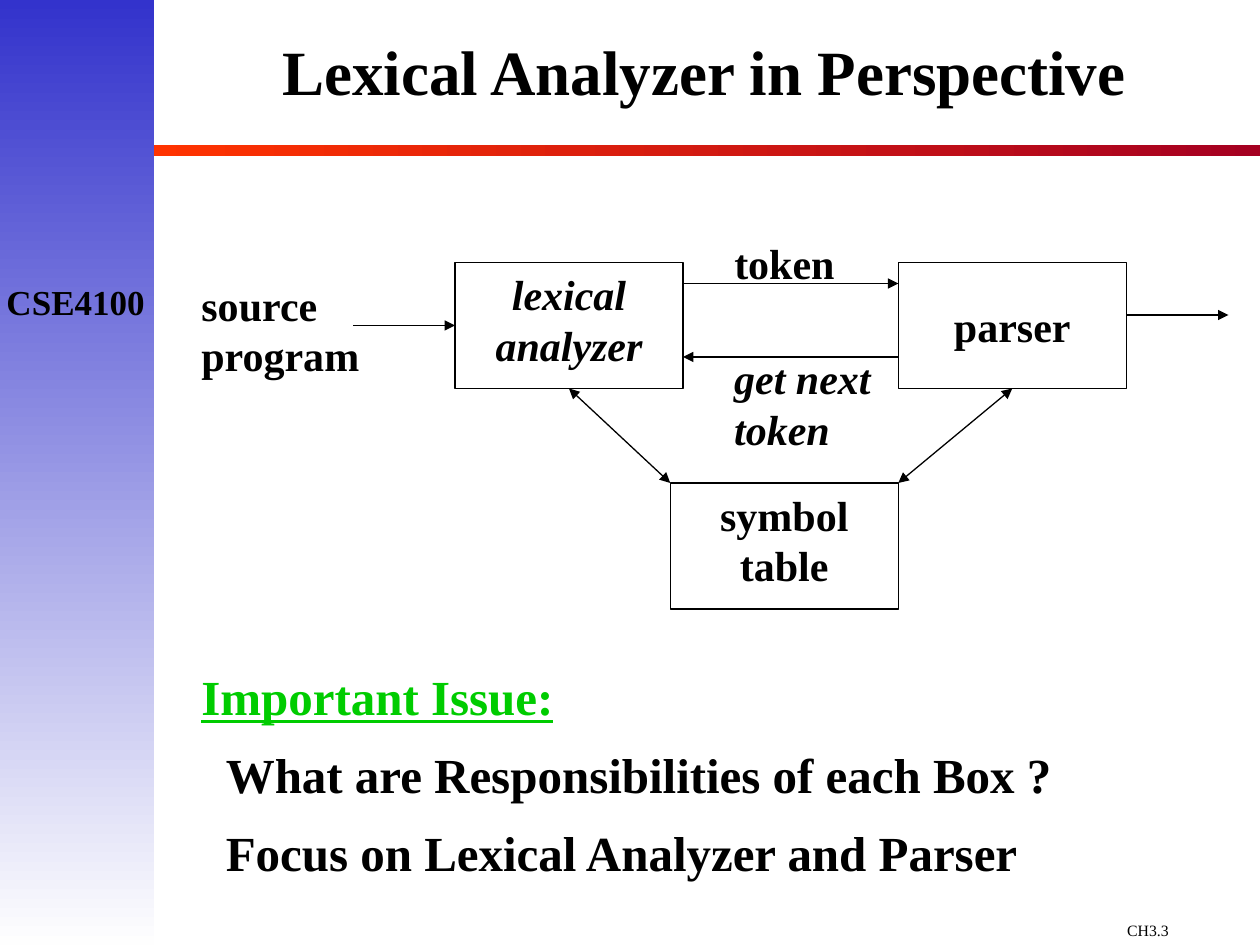
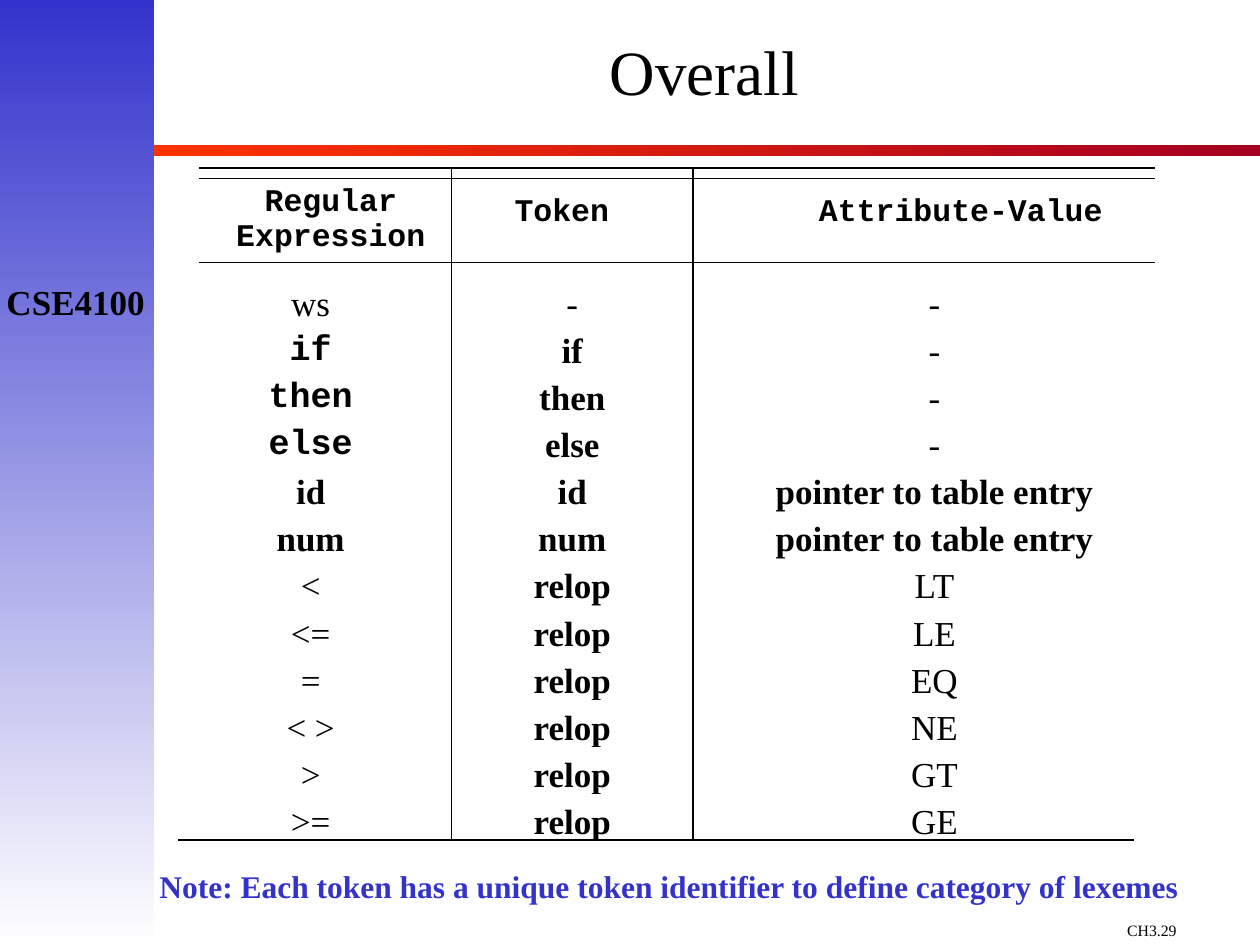
"""Build two compiler-course slides: the lexical analyzer diagram and the token table."""
from lxml.etree import SubElement
from pptx import Presentation
from pptx.dml.color import RGBColor
from pptx.enum.shapes import MSO_CONNECTOR as Connector, MSO_SHAPE as Shape
from pptx.enum.text import MSO_ANCHOR as Anchor, PP_ALIGN as Align
from pptx.oxml.ns import qn
from pptx.util import Pt

BLACK = RGBColor(0x00, 0x00, 0x00)
BLUE = RGBColor(0x33, 0x33, 0xCC)
PALE = RGBColor(0xFE, 0xFE, 0xFE)
ORANGE = RGBColor(0xFF, 0x33, 0x00)
CRIMSON = RGBColor(0xA5, 0x00, 0x21)
GREEN = RGBColor(0x00, 0xCC, 0x00)
SERIF, MONO = "Times New Roman", "Courier New"

COURSE = "CSE4100"
BANDS = [
    ((86.4, 82.8, 633.6, 6.3), (ORANGE, CRIMSON), 0),
    ((0, 0, 88, 540), (BLUE, PALE), 270),
]

BOX_WIDTH, BOX_HEIGHT = 130.3, 72
BOXES = {
    "lexical": ("lexical analyzer", 260, 150, Anchor.TOP, True),
    "parser": ("parser", 513.3, 150, Anchor.MIDDLE, False),
    "symbols": ("symbol table", 383, 276, Anchor.TOP, False),
}
LABELS = [
    ("source program", (108, 156, 123, 65), False),
    ("token", (412.5, 132, 73, 36), False),
    ("get next token", (412.5, 198, 94.5, 65), True),
]
ARROWS = [
    ((390.3, 162), (513.3, 162), "end", None),
    ((513.3, 204), (390.3, 204), "end", None),
    ((643.6, 180), (702, 180), "end", None),
    ((202, 186), (260, 186), "end", ("lexical", 1)),
    ((513.3, 276), (578.5, 222), "both", ("parser", 2)),
    ((383, 276), (325.2, 222), "both", ("lexical", 2)),
]
ISSUE = [
    ("Important Issue:", GREEN, True, 0),
    ("What are Responsibilities of each Box ?", BLACK, False, 14),
    ("Focus on Lexical Analyzer and Parser", BLACK, False, 14),
]

COLUMN_WIDTHS = [144, 138, 264]
HEADER_HEIGHT, FIRST_HEIGHT, ROW_HEIGHT = 48, 35.4, 26.9
TABLE_LEFT, TABLE_TOP = 114, 102
HEADERS = [
    ("Regular Expression", dict(left=6, right=0, top=3.6)),
    ("Token", dict(left=0, right=12, top=9.6)),
    ("Attribute-Value", dict(left=42, right=0, top=9.6)),
]
BODY_MARGINS = [dict(left=0, right=17), dict(left=0, right=0), dict(left=12, right=0)]
TOKENS = [
    ("ws", "-", "-"),
    ("if", "if", "-"),
    ("then", "then", "-"),
    ("else", "else", "-"),
    ("id", "id", "pointer to table entry"),
    ("num", "num", "pointer to table entry"),
    ("<", "relop", "LT"),
    ("<=", "relop", "LE"),
    ("=", "relop", "EQ"),
    ("< >", "relop", "NE"),
    (">", "relop", "GT"),
    (">=", "relop", "GE"),
]
KEYWORDS = {"if", "then", "else"}
BOLD_WORDS = KEYWORDS | {"id", "num", "relop", "pointer to table entry"}
RULES = [((114, y), (660, y)) for y in (96, 102, 150)]
RULES += [((102, 480), (648, 480))]
RULES += [((x, 96), (x, 480)) for x in (258, 396)]
NOTE = "Note: Each token has a unique token identifier to define category of lexemes"


def write(para, text, size, color=BLACK, name=SERIF, align=Align.LEFT, **styles):
    para.alignment = align
    span = para.add_run()
    span.text = text
    span.font.color.rgb = color
    for key, value in dict(name=name, size=Pt(size), **styles).items():
        setattr(span.font, key, value)


def add_text(page, place, text, size, anchor=Anchor.TOP, wrap=True, spacing=None, **styles):
    frame = page.shapes.add_textbox(*map(Pt, place)).text_frame
    frame.word_wrap = wrap
    frame.vertical_anchor = anchor
    para = frame.paragraphs[0]
    para.line_spacing = spacing
    write(para, text, size, **styles)
    return frame


def add_line(page, start, end, width, heads=()):
    line = page.shapes.add_connector(Connector.STRAIGHT, *map(Pt, start + end))
    line.line.color.rgb = BLACK
    line.line.width = Pt(width)
    outline = line.line._get_or_add_ln()
    for head in heads:
        SubElement(outline, qn(f"a:{head}"), type="triangle")
    SubElement(line._element.spPr, qn("a:effectLst"))
    return line


def add_page(deck, title, number, bold):
    page = deck.slides.add_slide(deck.slide_layouts[6])
    for place, colors, angle in BANDS:
        band = page.shapes.add_shape(Shape.RECTANGLE, *map(Pt, place))
        band.shadow.inherit = False
        band.line.fill.background()
        band.fill.gradient()
        band.fill.gradient_angle = angle
        for stop, color in zip(band.fill.gradient_stops, colors):
            stop.color.rgb = color
    add_text(page, (637, 522.5, 83, 17), number, 9)
    add_text(page, (-3.5, 156.5, 93.5, 31.5), COURSE, 20, wrap=False,
             align=Align.CENTER, bold=True)
    add_text(page, (85, 0, 635, 88), title, 36, anchor=Anchor.MIDDLE, spacing=0.8,
             align=Align.CENTER, bold=bold)
    return page


def add_diagram(page):
    boxes = {}
    for key, (text, left, top, anchor, italic) in BOXES.items():
        box = page.shapes.add_shape(Shape.RECTANGLE, *map(Pt, (left, top, BOX_WIDTH, BOX_HEIGHT)))
        box.shadow.inherit = False
        box.fill.background()
        box.line.color.rgb = BLACK
        box.line.width = Pt(0.75)
        box.text_frame.word_wrap = True
        box.text_frame.vertical_anchor = anchor
        write(box.text_frame.paragraphs[0], text, 24, align=Align.CENTER, bold=True, italic=italic)
        boxes[key] = box
    for text, place, italic in LABELS:
        add_text(page, place, text, 24, bold=True, italic=italic)
    for start, end, kind, joint in ARROWS:
        heads = ("headEnd", "tailEnd") if kind == "both" else ("tailEnd",)
        arrow = add_line(page, start, end, 0.75, heads)
        if joint:
            key, side = joint
            arrow.end_connect(boxes[key], side)


def add_issue(page):
    frame = page.shapes.add_textbox(*map(Pt, (108, 384, 546, 123))).text_frame
    frame.word_wrap = True
    for index, (text, color, underline, indent) in enumerate(ISSUE):
        para = frame.add_paragraph() if index else frame.paragraphs[0]
        para.line_spacing = 0.8
        para.space_before = Pt(17.5 if index else 0)
        para._p.get_or_add_pPr().set("marL", str(Pt(indent)))
        write(para, text, 28, color=color, bold=True, underline=underline)


def fill_cell(cell, text, size, anchor, margins, **styles):
    cell.fill.background()
    cell.vertical_anchor = anchor
    for side, value in (dict(top=0, bottom=0) | margins).items():
        setattr(cell, f"margin_{side}", Pt(value))
    write(cell.text_frame.paragraphs[0], text, size, align=Align.CENTER, **styles)


def add_token_table(page):
    heights = [HEADER_HEIGHT, FIRST_HEIGHT] + [ROW_HEIGHT] * (len(TOKENS) - 1)
    place = (TABLE_LEFT, TABLE_TOP, sum(COLUMN_WIDTHS), sum(heights))
    table = page.shapes.add_table(len(heights), len(COLUMN_WIDTHS), *map(Pt, place)).table
    table.first_row = table.horz_banding = False
    for column, width in zip(table.columns, COLUMN_WIDTHS):
        column.width = Pt(width)
    for row, height in zip(table.rows, heights):
        row.height = Pt(height)
    for column, (text, margins) in enumerate(HEADERS):
        fill_cell(table.cell(0, column), text, 18, Anchor.TOP, margins, name=MONO, bold=True)
    for row, texts in enumerate(TOKENS, 1):
        for column, text in enumerate(texts):
            name = MONO if column == 0 and text in KEYWORDS else SERIF
            fill_cell(table.cell(row, column), text, 20, Anchor.BOTTOM, BODY_MARGINS[column],
                      name=name, bold=text in BOLD_WORDS)
    for start, end in RULES:
        add_line(page, start, end, 1)


def main():
    deck = Presentation()
    deck.slide_width, deck.slide_height = Pt(720), Pt(540)
    page = add_page(deck, "Lexical Analyzer in Perspective", "CH3.3", True)
    add_diagram(page)
    add_issue(page)
    page = add_page(deck, "Overall", "CH3.29", False)
    add_token_table(page)
    add_text(page, (84, 492, 636, 29), NOTE, 18, color=BLUE, bold=True)
    deck.save("out.pptx")


if __name__ == "__main__":
    main()
